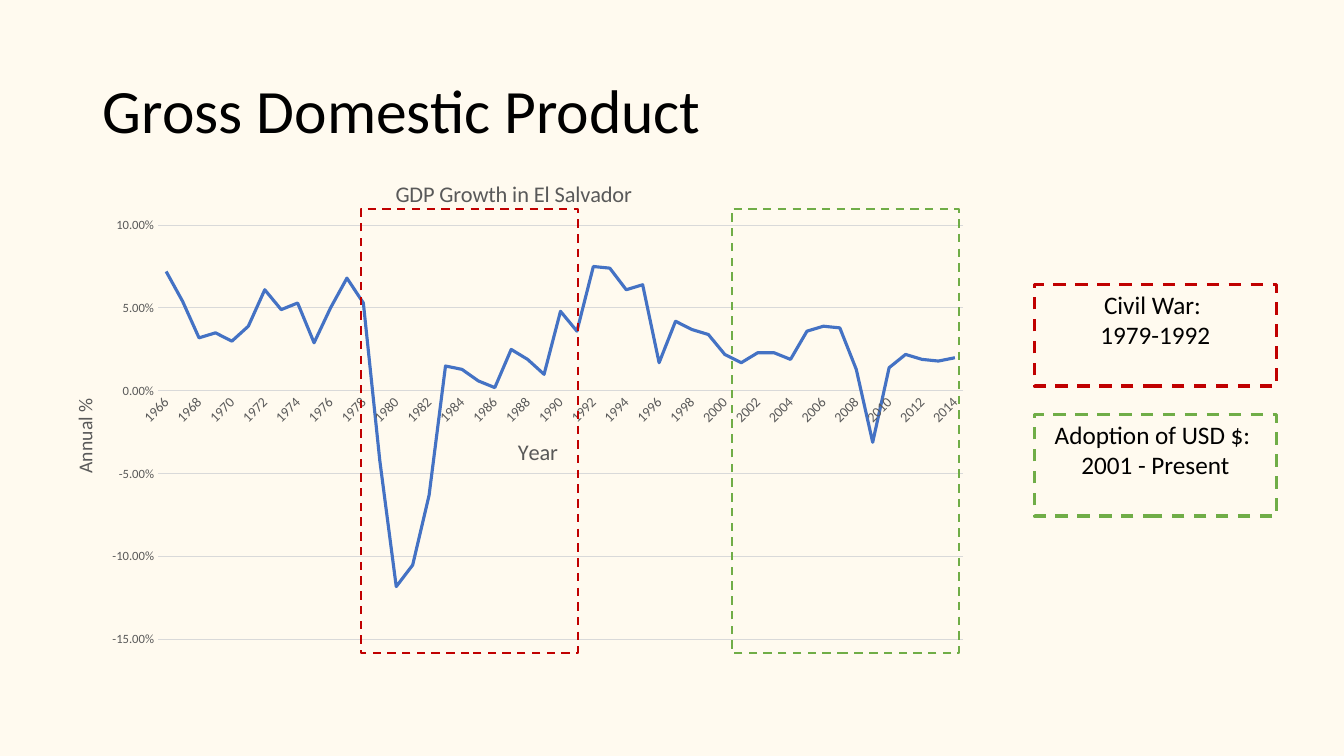
from lxml import etree
from pptx import Presentation
from pptx.chart.data import CategoryChartData
from pptx.dml.color import RGBColor
from pptx.enum.chart import XL_CHART_TYPE, XL_TICK_MARK
from pptx.enum.dml import MSO_LINE
from pptx.enum.shapes import MSO_SHAPE
from pptx.enum.text import MSO_ANCHOR, PP_ALIGN
from pptx.oxml.ns import qn
from pptx.util import Inches, Pt

LINE_CHART = XL_CHART_TYPE.LINE
NO_TICK = XL_TICK_MARK.NONE
DASH = MSO_LINE.DASH
RECTANGLE = MSO_SHAPE.RECTANGLE
TOP, MIDDLE = MSO_ANCHOR.TOP, MSO_ANCHOR.MIDDLE
LEFT, CENTER = PP_ALIGN.LEFT, PP_ALIGN.CENTER

FONT = "Calibri"
CREAM, BLACK, GREY, PALE_GREY = "FFFAEF", "000000", "595959", "D9D9D9"
BLUE, RED, GREEN = "4472C4", "C00000", "70AD47"

FIRST_YEAR = 1966
GDP_GROWTH = [
    0.072, 0.054, 0.032, 0.035, 0.03, 0.039, 0.061, 0.049, 0.053, 0.029,
    0.05, 0.068, 0.053, -0.042, -0.118, -0.105, -0.063, 0.015, 0.013, 0.006,
    0.002, 0.025, 0.019, 0.01, 0.048, 0.036, 0.075, 0.074, 0.061, 0.064,
    0.017, 0.042, 0.037, 0.034, 0.022, 0.017, 0.023, 0.023, 0.019, 0.036,
    0.039, 0.038, 0.013, -0.031, 0.014, 0.022, 0.019, 0.018, 0.02,
]


def color(hex_string):
    return RGBColor.from_string(hex_string)


def format_font(font, size, hex_string):
    values = {"name": FONT, "size": Pt(size), "bold": False}
    for name, value in values.items():
        setattr(font, name, value)
    font.color.rgb = color(hex_string)


def format_line(line, hex_string, width):
    line.color.rgb = color(hex_string)
    line.width = Pt(width)


def place(element, index, **fractions):
    """Give a chart part a manual layout in fractions of the chart."""
    for old_layout in element.findall(qn("c:layout")):
        element.remove(old_layout)
    layout = etree.Element(qn("c:layout"))
    manual = etree.SubElement(layout, qn("c:manualLayout"))
    settings = {"xMode": "edge", "yMode": "edge", **fractions}
    if "w" in fractions:
        settings = {"layoutTarget": "inner", **settings}
    for name, value in settings.items():
        etree.SubElement(manual, qn(f"c:{name}")).set("val", str(value))
    element.insert(index, layout)


def set_title(owner, text, size):
    """Title a chart or one of its axes."""
    owner.has_title = True
    title = owner.chart_title if hasattr(owner, "chart_title") else owner.axis_title
    paragraph = title.text_frame.paragraphs[0]
    run = paragraph.add_run()
    run.text = text
    format_font(run.font, size, GREY)


def format_axis(axis, title, title_size, label_size):
    axis.major_tick_mark = NO_TICK
    axis.minor_tick_mark = NO_TICK
    format_font(axis.tick_labels.font, label_size, GREY)
    set_title(axis, title, title_size)


def add_growth_chart(slide):
    data = CategoryChartData(number_format="0.00%")
    data.categories = [str(FIRST_YEAR + step) for step in range(len(GDP_GROWTH))]
    data.add_series("Series 1", GDP_GROWTH)
    chart = slide.shapes.add_chart(
        LINE_CHART, Inches(0.39), Inches(1.48), Inches(9.34), Inches(5.62), data
    ).chart
    chart.has_legend = False
    format_font(chart.font, 10, BLACK)
    set_title(chart, "GDP Growth in El Salvador", 16)

    plot = chart.plots[0]
    plot.vary_by_categories = False
    series = plot.series[0]
    series.smooth = False
    format_line(series.format.line, BLUE, 2.25)

    years, growth = chart.category_axis, chart.value_axis
    format_axis(years, "Year", 16, 10)
    format_line(years.format.line, PALE_GREY, 0.75)
    format_axis(growth, "Annual %", 14, 9)
    growth.format.line.fill.background()
    growth.minimum_scale, growth.maximum_scale, growth.major_unit = -0.15, 0.1, 0.05
    growth.tick_labels.number_format = "0.00%"
    growth.tick_labels.number_format_is_linked = False
    format_line(growth.major_gridlines.format.line, PALE_GREY, 0.75)

    root = chart.element
    label_body = root.xpath(".//c:catAx/c:txPr/a:bodyPr")[0]
    label_body.set("rot", "-2700000")
    label_body.set("vert", "horz")
    skip = etree.Element(qn("c:tickLblSkip"))
    skip.set("val", "2")
    root.xpath(".//c:catAx/c:noMultiLvlLbl")[0].addprevious(skip)
    growth_title_body = root.xpath(".//c:valAx/c:title//a:bodyPr")[0]
    growth_title_body.set("rot", "-5400000")
    growth_title_body.set("vert", "horz")

    place(root.xpath(".//c:plotArea")[0], 0, x=0.126, y=0.134, w=0.855, h=0.732)
    place(root.xpath("c:chart/c:title")[0], 1, x=0.374, y=0.045)
    place(root.xpath(".//c:catAx/c:title")[0], 1, x=0.504, y=0.5)
    place(root.xpath(".//c:valAx/c:title")[0], 1, x=0.03, y=0.433)


def format_title(slide, text):
    title = slide.shapes.title
    bounds = {"left": 0.92, "top": 0.4, "width": 11.5, "height": 1.45}
    for name, value in bounds.items():
        setattr(title, name, Inches(value))
    title.text_frame.text = text
    title.text_frame.vertical_anchor = MIDDLE
    paragraph = title.text_frame.paragraphs[0]
    paragraph.alignment = LEFT
    paragraph.line_spacing = 0.9
    format_font(paragraph.runs[0].font, 44, BLACK)


def add_dashed_box(slide, bounds, hex_string, width, lines=()):
    box = slide.shapes.add_shape(RECTANGLE, *map(Inches, bounds))
    box.shadow.inherit = False
    box.fill.background()
    format_line(box.line, hex_string, width)
    box.line.dash_style = DASH
    if not lines:
        return
    frame = box.text_frame
    frame.word_wrap = True
    frame.vertical_anchor = TOP
    frame.text = "\n".join(lines)
    for paragraph in frame.paragraphs:
        paragraph.alignment = CENTER
        format_font(paragraph.runs[0].font, 18, BLACK)


def main():
    presentation = Presentation()
    presentation.slide_width = Inches(13.33)
    presentation.slide_height = Inches(7.5)
    slide = presentation.slides.add_slide(presentation.slide_layouts[5])
    slide.background.fill.solid()
    slide.background.fill.fore_color.rgb = color(CREAM)

    format_title(slide, "Gross Domestic Product")
    add_growth_chart(slide)
    periods = [
        (RED, 3.58, 2.15, 2.82, ["Civil War: ", "1979-1992"]),
        (GREEN, 7.26, 2.25, 4.11, ["Adoption of USD $: ", "2001 - Present"]),
    ]
    for hex_string, left, width, label_top, lines in periods:
        add_dashed_box(slide, (left, 2.07, width, 4.41), hex_string, 1.5)
        add_dashed_box(slide, (10.26, label_top, 2.4, 1.01), hex_string, 2.25, lines)
    presentation.save("out.pptx")


if __name__ == "__main__":
    main()
